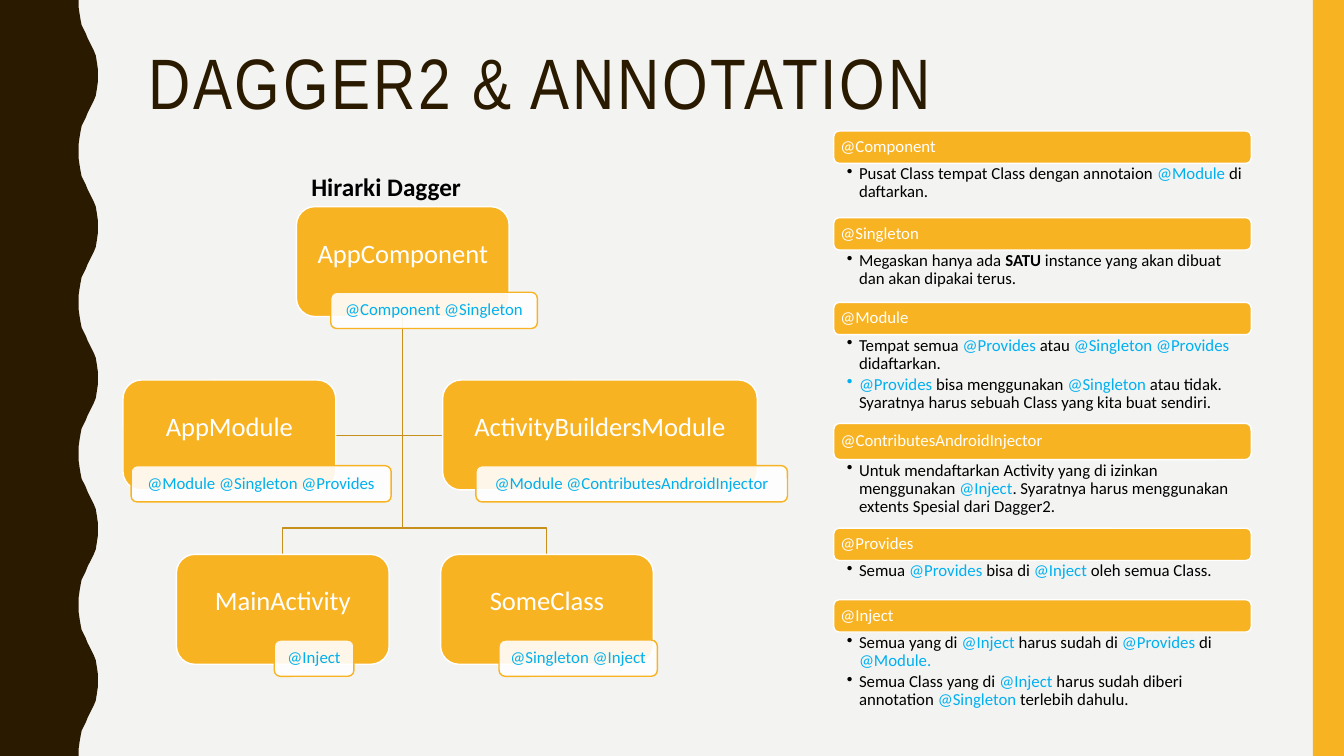
from dataclasses import dataclass

from pptx import Presentation
from pptx import util as u
from pptx.dml import color
from pptx.enum import shapes, text
from pptx.oxml import ns
from lxml import etree

Inches = u.Inches
ROUND = shapes.MSO_SHAPE.ROUNDED_RECTANGLE
LEFT, MID = text.PP_ALIGN.LEFT, text.PP_ALIGN.CENTER


@dataclass(frozen=True)
class Theme:
    paper: str = "F3F3F2"
    dark: str = "2A1A00"
    gold: str = "F8B323"
    wire: str = "C78F1C"
    white: str = "FFFFFF"
    black: str = "000000"
    blue: str = "00B0F0"
    head: str = "Arial Narrow"
    body: str = "Calibri"
    title: int = 51
    node: int = 19
    label: int = 18
    small: int = 12


T = Theme()

NODES = [
    ("AppComponent", 2.94, 2.05, 2.11, "@Component @Singleton", 3.28, 2.05),
    ("MainActivity", 1.75, 5.5, 2.11, "@Inject", 2.72, 0.79),
    ("SomeClass", 4.37, 5.5, 2.11, "@Singleton @Inject", 4.95, 1.57),
    ("AppModule", 1.22, 3.77, 2.11, "@Module @Singleton @Provides", 1.3, 2.58),
    ("ActivityBuildersModule", 4.39, 3.77, 3.12,
     "@Module @ContributesAndroidInjector", 4.72, 3.09),
]

WIRES = [
    [(3.99, 3.14), (3.99, 4.32), (4.39, 4.32)],
    [(3.99, 3.14), (3.99, 4.32), (3.33, 4.32)],
    [(3.99, 3.14), (3.99, 5.24), (5.42, 5.24), (5.42, 5.5)],
    [(3.99, 3.14), (3.99, 5.24), (2.8, 5.24), (2.8, 5.5)],
]

NOTES = [
    ("@Component", 1.3, 0.32, 0.54,
     ["Pusat Class tempat Class dengan annotaion |@Module |di daftarkan."]),
    ("@Singleton", 2.16, 0.32, 0.52,
     ["Megaskan hanya ada |SATU| instance yang akan dibuat dan akan dipakai terus."]),
    ("@Module", 3, 0.32, 0.87,
     ["Tempat semua |@Provides |atau |@Singleton @Provides |didaftarkan.",
      "|@Provides |bisa menggunakan |@Singleton |atau tidak. "
      "Syaratnya harus sebuah Class yang kita buat sendiri."]),
    ("@ContributesAndroidInjector", 4.2, 0.36, 0.69,
     ["Untuk mendaftarkan Activity yang di izinkan menggunakan |@Inject|. "
      "Syaratnya harus menggunakan extents Spesial dari Dagger2."]),
    ("@Provides", 5.24, 0.32, 0.38,
     ["Semua |@Provides |bisa di |@Inject |oleh semua Class."]),
    ("@Inject", 5.95, 0.32, 0.85,
     ["Semua yang di |@Inject |harus sudah di |@Provides |di |@Module.",
      "Semua Class yang di |@Inject |harus sudah diberi annotation "
      "|@Singleton |terlebih dahulu."]),
]

WAVE = list(zip(
    (0.78, 0.78, 0.79, 0.8, 0.81, 0.83, 0.85, 0.87, 0.89, 0.91, 0.93, 0.95, 0.96, 0.97, 0.97),
    (0, 0.07, 0.14, 0.2, 0.25, 0.29, 0.33, 0.38, 0.42, 0.46, 0.5, 0.55, 0.61, 0.68, 0.75)))


def apply(item, form):
    for name, value in form.items():
        setattr(item, name, value)


def rgb(code):
    return color.RGBColor.from_string(code)


def paint(shape, fill=None, line=None):
    shape.shadow.inherit = False
    if fill:
        shape.fill.solid()
        shape.fill.fore_color.rgb = rgb(fill)
    else:
        shape.fill.background()
    if line:
        shape.line.color.rgb = rgb(line)
        shape.line.width = u.Pt(1)
    else:
        shape.line.fill.background()


def frame(shape, pads, anchor=text.MSO_ANCHOR.TOP):
    box = shape.text_frame
    sides = ("margin_left", "margin_top", "margin_right", "margin_bottom")
    form = {side: Inches(pad) for side, pad in zip(sides, pads)}
    apply(box, {"word_wrap": True, "auto_size": text.MSO_AUTO_SIZE.NONE,
                "vertical_anchor": anchor, **form})
    return box


def write(para, words, size, ink, face=T.body, bold=False):
    run = para.add_run()
    run.text = words
    apply(run.font, {"size": u.Pt(size), "name": face, "bold": bold})
    run.font.color.rgb = rgb(ink)
    return run


def poly(slide, points, closed=False, **look):
    spots = [(Inches(x), Inches(y)) for x, y in points]
    form = slide.shapes.build_freeform(*spots[0])
    form.add_line_segments(spots[1:], close=closed)
    paint(form.convert_to_shape(), **look)


def panel(slide, area, words, size, ink, fill, line, pads, align):
    shape = slide.shapes.add_shape(ROUND, *map(Inches, area))
    paint(shape, fill, line)
    para = frame(shape, pads, text.MSO_ANCHOR.MIDDLE).paragraphs[0]
    apply(para, {"alignment": align, "line_spacing": 0.9})
    write(para, words, size, ink)
    return shape


def fade(shape, share):
    tint = shape._element.spPr.find(ns.qn("a:solidFill"))[0]
    etree.SubElement(tint, ns.qn("a:alpha")).set("val", str(share * 1000))


def node(slide, name, x, y, w, tag, left, wide):
    panel(slide, (x, y, w, 1.09), name, T.node, T.white, T.gold, T.white,
          (0.01, 0.01, 0.01, 0.15), MID)
    badge = panel(slide, (left, y + 0.85, wide, 0.36), tag, T.small, T.blue,
                  T.white, T.gold, (0.03, 0.01, 0.03, 0.01), MID)
    fade(badge, 90)


def bullet(para, words):
    apply(para, {"alignment": LEFT, "line_spacing": 0.9, "space_after": u.Pt(2)})
    props = para._p.get_or_add_pPr()
    props.set("marL", str(Inches(0.12)))
    props.set("indent", str(-Inches(0.12)))
    etree.SubElement(props, ns.qn("a:buChar")).set("char", "•")
    for i, part in enumerate(words.split("|")):
        tag = i % 2 and part.startswith("@")
        if part:
            write(para, part, T.small, T.blue if tag else T.black,
                  bold=bool(i % 2 and not tag))


def note(slide, name, y, high, deep, points):
    x, w = 8.27, 4.14
    panel(slide, (x, y, w, high), name, T.small, T.white, T.gold, T.white,
          (0.05, 0.05, 0.05, 0.05), LEFT)
    area = slide.shapes.add_textbox(*map(Inches, (x, y + high, w, deep)))
    box = frame(area, (0.13, 0.02, 0.09, 0.02))
    for i, words in enumerate(points):
        bullet(box.add_paragraph() if i else box.paragraphs[0], words)


def decor(slide):
    slide.background.fill.solid()
    slide.background.fill.fore_color.rgb = rgb(T.paper)
    cycle = WAVE + [(x, 1.5 - y) for x, y in WAVE[-2:0:-1]]
    edge = [(x, y + 1.5 * i) for i in range(5) for x, y in cycle]
    poly(slide, [(0, 0), *edge, (0.78, 7.5), (0, 7.5)], True, fill=T.dark)
    bar = slide.shapes.add_shape(shapes.MSO_SHAPE.RECTANGLE,
                                 *map(Inches, (13.02, 0, 0.31, 7.5)))
    paint(bar, T.gold)


def heading(slide, words):
    title = slide.shapes.title
    apply(title, {"left": Inches(1.37), "top": Inches(0.42),
                  "width": Inches(11.13), "height": Inches(1.63)})
    para = frame(title, (0.1, 0.05, 0.1, 0.05)).paragraphs[0]
    apply(para, {"alignment": LEFT, "line_spacing": 0.9})
    run = write(para, words, T.title, T.dark, T.head)
    run.font._element.set("spc", "200")


def label(slide, words):
    area = slide.shapes.add_textbox(*map(Inches, (2.99, 1.65, 2.13, 0.4)))
    box = frame(area, (0.1, 0.05, 0.1, 0.05))
    write(box.paragraphs[0], words, T.label, T.black, bold=True)


def main():
    deck = Presentation()
    apply(deck, {"slide_width": Inches(13.33), "slide_height": Inches(7.5)})
    slide = deck.slides.add_slide(deck.slide_layouts.get_by_name("Title Only"))
    decor(slide)
    heading(slide, "DAGGER2 & ANNOTATION")
    for wire in WIRES:
        poly(slide, wire, line=T.wire)
    for item in NODES:
        node(slide, *item)
    label(slide, "Hirarki Dagger")
    for item in NOTES:
        note(slide, *item)
    deck.save("out.pptx")


if __name__ == "__main__":
    main()
